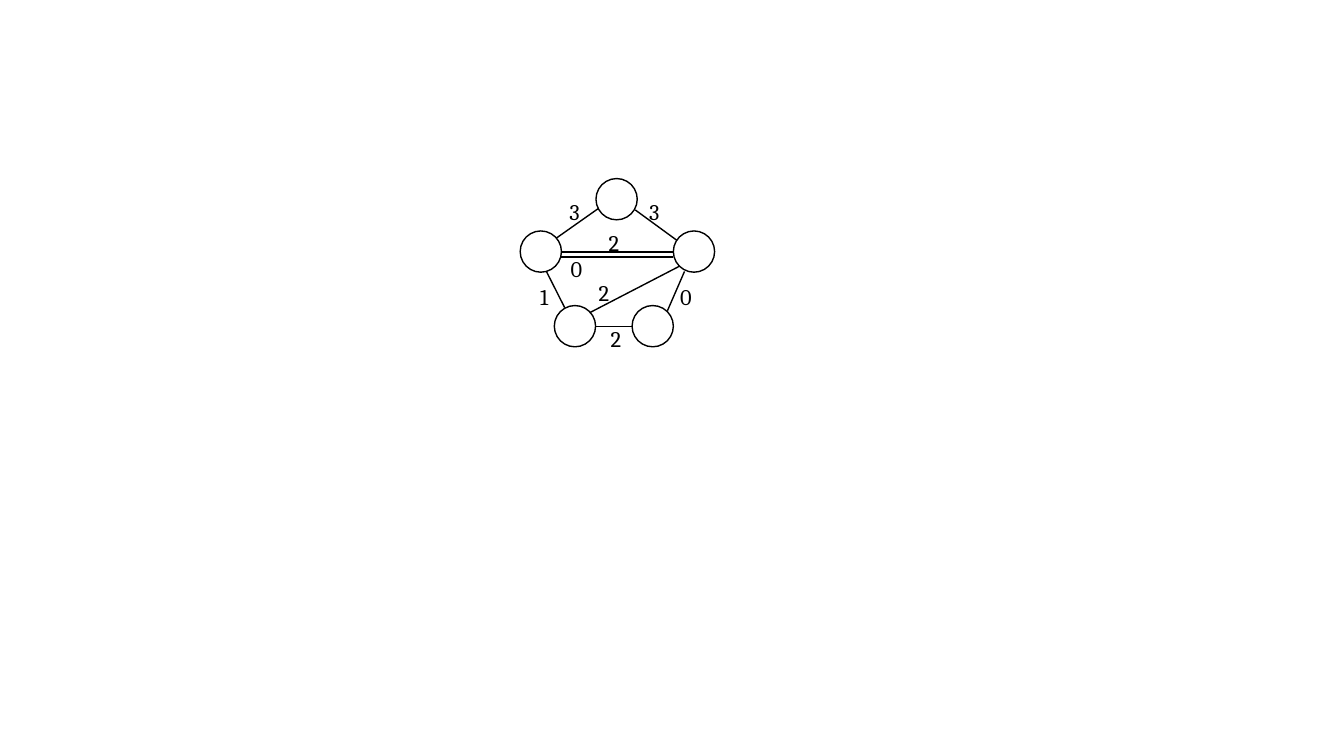
import pptx
import pptx.dml.color
import pptx.enum.shapes
import pptx.oxml.ns
import pptx.util
from lxml import etree

Cm = pptx.util.Cm
BLACK = pptx.dml.color.RGBColor(0x00, 0x00, 0x00)
WHITE = pptx.dml.color.RGBColor(0xFF, 0xFF, 0xFF)

NODE_SIZE = 1.04
LABEL_HEIGHT = 0.94
NODES = [(0, 1.32), (3.86, 1.32), (0.86, 3.2), (1.91, 0), (2.82, 3.2)]
EDGES = [
    (2.82, 3.73, 1.91, 3.73),
    (1.96, 0.76, 0.91, 1.5),
    (3.94, 1.55, 2.9, 0.79),
    (3.86, 1.85, 1.02, 1.85),
    (1.12, 3.25, 0.66, 2.34),
    (3.71, 3.33, 4.14, 2.34),
    (1.75, 3.38, 4.01, 2.21),
    (3.86, 1.98, 1.02, 1.98),
]
WEIGHTS = [
    ("3", 0.99, 0.38, 0.86),
    ("2", 2.03, 3.56, 0.61),
    ("1", 0.25, 2.51, 0.84),
    ("2", 1.73, 2.41, 0.84),
    ("0", 1.02, 1.8, 0.79),
    ("3", 3, 0.38, 0.79),
    ("2", 1.98, 1.14, 0.86),
    ("0", 3.78, 2.51, 0.84),
]


def add_node(s, x, y):
    """Draw one round node with its top left corner at x, y."""
    sp = s.shapes.add_shape(
        pptx.enum.shapes.MSO_SHAPE.OVAL, Cm(x), Cm(y), Cm(NODE_SIZE), Cm(NODE_SIZE)
    )
    sp.shadow.inherit = False
    sp.fill.solid()
    sp.fill.fore_color.rgb = WHITE
    sp.line.color.rgb = BLACK
    sp.line.width = pptx.util.Pt(1)


def add_edge(s, x1, y1, x2, y2):
    """Draw one straight edge between two points."""
    sp = s.shapes.add_connector(
        pptx.enum.shapes.MSO_CONNECTOR.STRAIGHT, Cm(x1), Cm(y1), Cm(x2), Cm(y2)
    )
    sp.line.color.rgb = BLACK
    sp.line.width = pptx.util.Pt(1)
    etree.SubElement(sp._element.spPr, pptx.oxml.ns.qn("a:effectLst"))


def add_weight(s, text, x, y, width):
    """Write the weight of one edge."""
    sp = s.shapes.add_textbox(Cm(x), Cm(y), Cm(width), Cm(LABEL_HEIGHT))
    tf = sp.text_frame
    tf.word_wrap = True
    r = tf.paragraphs[0].add_run()
    r.text = text
    r.font.name = "Cambria"
    r.font.size = pptx.util.Pt(16)
    r.font.color.rgb = BLACK


def add_graph(s, left, top):
    """Draw the weighted graph from its top left corner."""
    for x, y in NODES:
        add_node(s, left + x, top + y)
    for x1, y1, x2, y2 in EDGES:
        add_edge(s, left + x1, top + y1, left + x2, top + y2)
    for text, x, y, width in WEIGHTS:
        add_weight(s, text, left + x, top + y, width)


def main():
    """Build the slide and save it."""
    prs = pptx.Presentation()
    prs.slide_width = Cm(33.87)
    prs.slide_height = Cm(19.05)
    s = prs.slides.add_slide(prs.slide_layouts[6])
    add_graph(s, 13.11, 4.5)
    prs.save("out.pptx")


if __name__ == "__main__":
    main()
